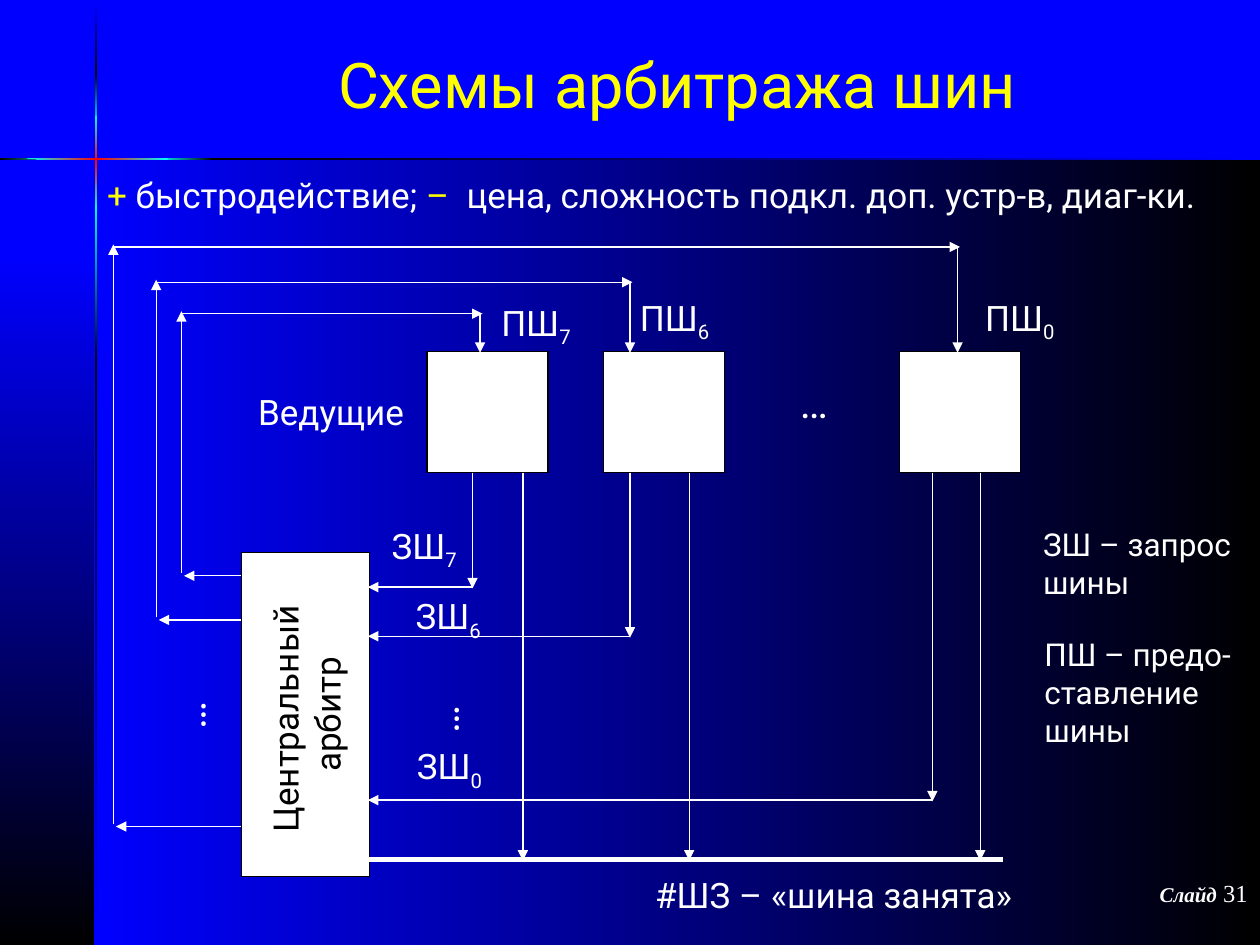
"""Build the slide on centralised bus arbitration with its wiring diagram."""
import copy

import pptx
import pptx.dml.color
import pptx.enum.shapes
import pptx.enum.text
import pptx.oxml
import pptx.oxml.ns
import pptx.util
from pptx.util import Inches

BLUE = pptx.dml.color.RGBColor(0x00, 0x00, 0xFF)
BLACK = pptx.dml.color.RGBColor(0x00, 0x00, 0x00)
CYAN = pptx.dml.color.RGBColor(0x00, 0xFF, 0xFF)
RED = pptx.dml.color.RGBColor(0xFF, 0x00, 0x00)
YELLOW = pptx.dml.color.RGBColor(0xFF, 0xFF, 0x00)
WHITE = pptx.dml.color.RGBColor(0xFF, 0xFF, 0xFF)
ACROSS, DOWN = 0, 270
RECTANGLE = pptx.enum.shapes.MSO_SHAPE.RECTANGLE
STRAIGHT = pptx.enum.shapes.MSO_CONNECTOR.STRAIGHT
NO_FIT = pptx.enum.text.MSO_AUTO_SIZE.NONE
GROW = pptx.enum.text.MSO_AUTO_SIZE.SHAPE_TO_FIT_TEXT
MIDDLE = pptx.enum.text.MSO_ANCHOR.MIDDLE
CENTER = pptx.enum.text.PP_ALIGN.CENTER
RIGHT = pptx.enum.text.PP_ALIGN.RIGHT


def add_run(para, text, size=20, color=WHITE, font="Roboto"):
    span = para.add_run()
    span.text = text
    span.font.size = pptx.util.Pt(size)
    span.font.name = font
    span.font.color.rgb = color
    return span


def add_wire(shapes, start_x, start_y, end_x, end_y, width=0.75, arrow=True):
    wire = shapes.add_connector(
        STRAIGHT, Inches(start_x), Inches(start_y), Inches(end_x), Inches(end_y))
    wire.line.color.rgb = WHITE
    wire.line.width = pptx.util.Pt(width)
    if arrow:
        tail = pptx.oxml.parse_xml(f'<a:tailEnd {pptx.oxml.ns.nsdecls("a")} type="triangle"/>')
        wire.line._get_or_add_ln().append(tail)
    effects = pptx.oxml.parse_xml(f'<a:effectLst {pptx.oxml.ns.nsdecls("a")}/>')
    wire._element.spPr.append(effects)


deck = pptx.Presentation()
deck.slide_width, deck.slide_height = Inches(10), Inches(7.5)
page = deck.slides.add_slide(deck.slide_layouts[1])
page.background.fill.solid()
page.background.fill.fore_color.rgb = BLUE
shapes = page.shapes
title, body = page.placeholders

bands = [
    (0.75, 1.25, 9.25, 6.25, ACROSS, [BLUE, BLACK]),
    (0, 2.02, 0.75, 5.48, DOWN, [BLUE, BLACK]),
    (0.75, 0.01, 0.02, 0.57, DOWN, [BLUE, BLACK]),
    (0.75, 2.82, 0.02, 4.68, DOWN, [BLACK, BLUE]),
    (0.75, 1.63, 0.02, 1.22, DOWN, [CYAN, BLACK]),
    (0.75, 0.58, 0.02, 0.44, DOWN, [BLACK, CYAN]),
    (0.75, 0.92, 0.02, 0.73, DOWN, [CYAN, RED, CYAN]),
    (0, 1.25, 0.61, 0.02, ACROSS, [BLACK, CYAN]),
    (1.67, 1.25, 8.33, 0.02, ACROSS, [BLACK, BLUE]),
    (1.25, 1.25, 0.44, 0.02, ACROSS, [CYAN, BLACK]),
    (0.21, 1.25, 1.12, 0.02, ACROSS, [CYAN, RED, CYAN]),
]
for left, top, width, height, angle, colors in bands:
    if angle == ACROSS and RED in colors:
        outline = [(0.6, 1.27), (1.33, 1.27), (1.33, 1.25), (0.6, 1.25)]
        builder = shapes.build_freeform(Inches(left), Inches(1.26))
        builder.add_line_segments([(Inches(x), Inches(y)) for x, y in outline])
        band = builder.convert_to_shape()
    else:
        band = shapes.add_shape(
            RECTANGLE, Inches(left), Inches(top), Inches(width), Inches(height))
    band.shadow.inherit = False
    band.line.fill.background()
    band.fill.gradient()
    band.fill.gradient_angle = angle
    if len(colors) == 3:
        first_stop = band._element.spPr.find(".//" + pptx.oxml.ns.qn("a:gs"))
        middle_stop = copy.deepcopy(first_stop)
        middle_stop.set("pos", "50000")
        first_stop.addnext(middle_stop)
    for stop, color in zip(band.fill.gradient_stops, colors):
        stop.color.rgb = color

for holder, left, top, width, height in [
        (title, 0.75, 0.08, 9.25, 1.17), (body, 0.75, 1.33, 9.01, 6.17)]:
    holder.left, holder.top = Inches(left), Inches(top)
    holder.width, holder.height = Inches(width), Inches(height)
    holder.text_frame.auto_size = NO_FIT
    shapes._spTree.append(holder._element)

title.text_frame.vertical_anchor = MIDDLE
title.text_frame.paragraphs[0].alignment = CENTER
add_run(title.text_frame.paragraphs[0], "Схемы арбитража шин", 36, YELLOW)

para = body.text_frame.paragraphs[0]
para.space_before = pptx.util.Pt(5)
properties = para._p.get_or_add_pPr()
properties.set("marL", "0")
properties.set("indent", "0")
properties.append(pptx.oxml.parse_xml(f'<a:buNone {pptx.oxml.ns.nsdecls("a")}/>'))
add_run(para, "+", color=YELLOW)
add_run(para, " быстродействие; ")
add_run(para, "–", color=YELLOW)
add_run(para, "  цена, сложность подкл. доп. устр-в, диаг-ки.")

boxes = [(left, 2.79, 0.96, 0.96) for left in (3.39, 4.79, 7.14)]
for left, top, width, height in boxes + [(1.14, 5.16, 2.57, 1.02)]:
    box = shapes.add_shape(
        RECTANGLE, Inches(left), Inches(top), Inches(width), Inches(height))
    box.shadow.inherit = False
    box.fill.solid()
    box.fill.fore_color.rgb = WHITE
    box.line.color.rgb = BLACK
    box.line.width = pptx.util.Pt(0.75)
arbiter = box
arbiter.rotation = 270
arbiter.text_frame.word_wrap = False
arbiter.text_frame.vertical_anchor = MIDDLE
para = arbiter.text_frame.paragraphs[0]
para.alignment = CENTER
add_run(para, "Центральный ", color=BLACK)
para.add_line_break()
add_run(para, "арбитр", color=BLACK)

routes = [
    (1.44, 4.57, 2.49, 3.81, 3.75, 4.66, 4.15),
    (1.24, 4.92, 2.24, 5.00, 5.00, 5.05, 5.47),
    (0.90, 6.56, 1.96, 7.60, 7.40, 6.35, 7.78),
]
for lane_x, grant_y, lane_top, grant_x, request_x, request_y, busy_x in routes:
    add_wire(shapes, 1.91, grant_y, lane_x + 0.02, grant_y)
    add_wire(shapes, lane_x, grant_y - 0.02, lane_x, lane_top - 0.02)
    add_wire(shapes, lane_x, lane_top, grant_x + 0.02, lane_top)
    add_wire(shapes, grant_x, lane_top, grant_x, 2.8)
    add_wire(shapes, request_x, 3.75, request_x, request_y + 0.01)
    add_wire(shapes, request_x, request_y, 2.92, request_y)
    add_wire(shapes, busy_x, 3.75, busy_x, 6.83)
add_wire(shapes, 7.96, 6.82, 2.89, 6.82, width=3, arrow=False)

labels = [
    (6.25, 2.94, 0.46, 0.5, 0, 24, ["…"], ""),
    (3.28, 5.44, 0.46, 0.5, 270, 24, ["…"], ""),
    (1.27, 5.41, 0.46, 0.5, 270, 24, ["…"], ""),
    (1.95, 3.05, 1.43, 0.44, 0, 20, ["Ведущие"], ""),
    (3.88, 2.34, 0.78, 0.48, 0, 20, ["ПШ"], "7"),
    (4.98, 2.3, 0.78, 0.48, 0, 20, ["ПШ"], "6"),
    (7.72, 2.3, 0.78, 0.48, 0, 20, ["ПШ"], "0"),
    (3.21, 5.86, 0.74, 0.48, 0, 20, ["ЗШ"], "0"),
    (3.2, 4.67, 0.74, 0.48, 0, 20, ["ЗШ"], "6"),
    (3.01, 4.11, 0.74, 0.48, 0, 20, ["ЗШ"], "7"),
    (5.1, 6.88, 3.15, 0.44, 0, 20, ["#ШЗ – «шина занята»"], ""),
    (8.18, 4.12, 1.77, 0.7, 0, 18, ["ЗШ – запрос", "шины"], ""),
    (8.19, 4.99, 1.72, 1, 0, 18, ["ПШ – предо-", "ставление", "шины"], ""),
]
for left, top, width, height, turn, size, lines, index in labels:
    label = shapes.add_textbox(Inches(left), Inches(top), Inches(width), Inches(height))
    label.rotation = turn
    label.text_frame.word_wrap = False
    label.text_frame.auto_size = GROW
    para = label.text_frame.paragraphs[0]
    add_run(para, lines[0], size)
    for line in lines[1:]:
        add_run(label.text_frame.add_paragraph(), line, size)
    if index:
        subscript = add_run(para, index, size)
        subscript.font._element.set("baseline", "-25000")

footer = shapes.add_textbox(Inches(7.92), Inches(6.92), Inches(2.08), Inches(0.5))
footer.text_frame.word_wrap = True
para = footer.text_frame.paragraphs[0]
para.alignment = RIGHT
word = add_run(para, "Слайд", 12, font="Times New Roman")
word.font.bold = word.font.italic = True
add_run(para, " 31", 14, font="Times New Roman")

deck.save("out.pptx")
